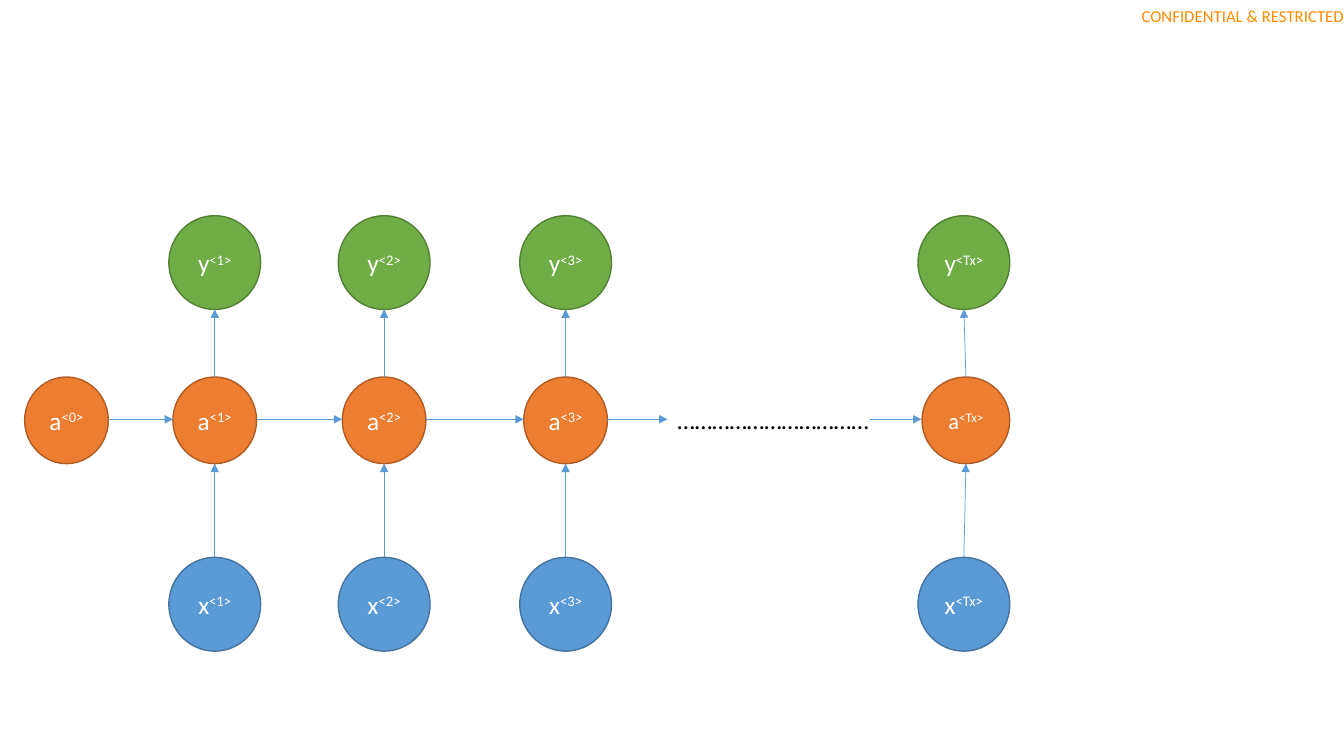
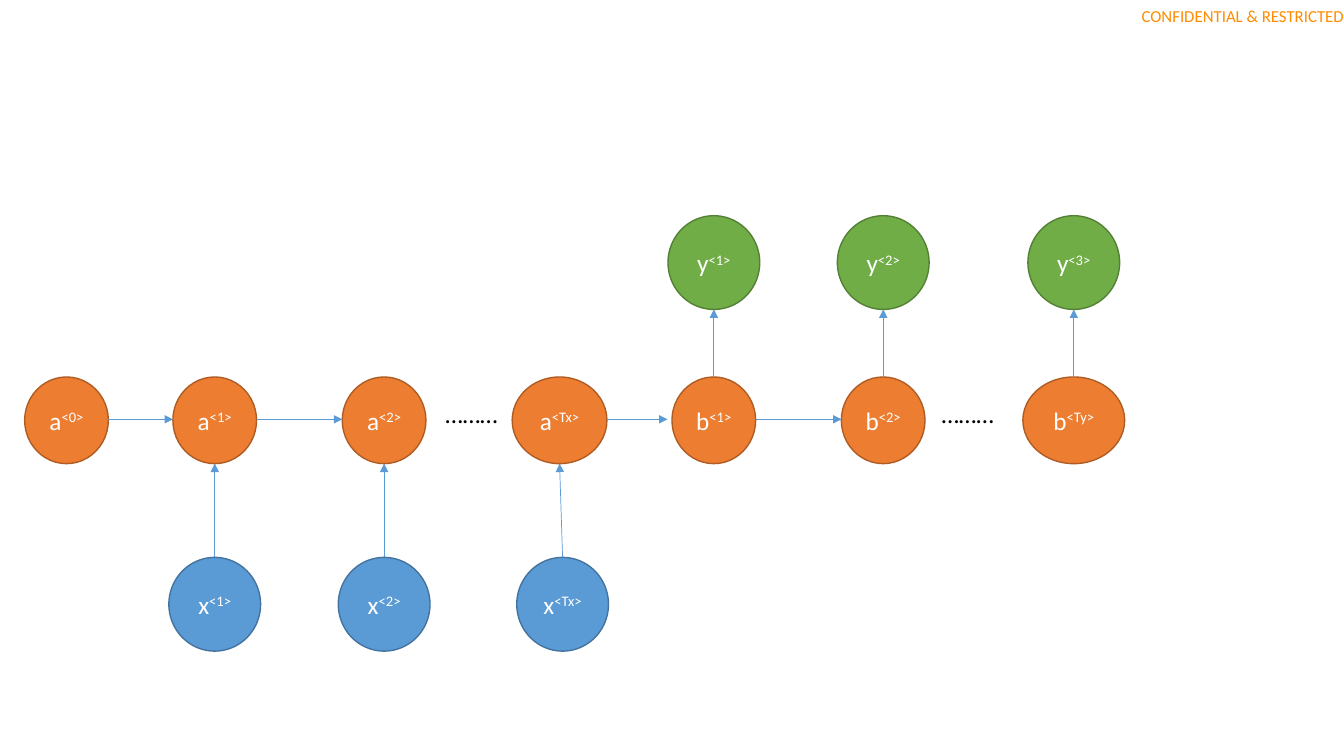
from dataclasses import dataclass
from typing import Optional

import pptx
import pptx.dml.color
import pptx.enum.shapes
import pptx.enum.text
import pptx.oxml
import pptx.oxml.ns
import pptx.shapes.autoshape
import pptx.slide
import pptx.text.text
import pptx.util

Inches = pptx.util.Inches
Pt = pptx.util.Pt
ALIGN = pptx.enum.text.PP_ALIGN

FONT = "Calibri"
WHITE, BLACK, NOTICE, ARROW = "FFFFFF", "000000", "FF8C00", "5B9BD5"


@dataclass(frozen=True)
class Row:
    """A horizontal band of ellipses with a common size and colour."""
    top: float
    width: float
    height: float
    fill: str
    line: str

    @property
    def bottom(self) -> float:
        """Return the lower edge of the band."""
        return self.top + self.height


OUTPUT = Row(2.14, 0.91, 0.93, "70AD47", "538035")
STATE = Row(3.74, 0.83, 0.86, "ED7D31", "AF5C24")
INPUT = Row(5.53, 0.91, 0.93, "5B9BD5", "43739E")
CHAIN_Y = 4.16


@dataclass(frozen=True)
class Step:
    """A hidden state with its optional input and output."""
    mid: float
    letter: str
    tag: str
    x_tag: Optional[str] = None
    y_tag: Optional[str] = None
    width: float = STATE.width
    size: float = 18
    outer_mid: Optional[float] = None

    @property
    def left(self) -> float:
        """Return the left edge of the state."""
        return self.mid - self.width / 2

    @property
    def right(self) -> float:
        """Return the right edge of the state."""
        return self.mid + self.width / 2


@dataclass(frozen=True)
class Dots:
    """An ellipsis standing for the skipped steps."""
    left: float
    top: float
    count: int


@dataclass(frozen=True)
class Network:
    """One slide: steps, linked step pairs, loose arrows and ellipses."""
    steps: tuple[Step, ...]
    links: tuple[tuple[int, int], ...]
    loose: tuple[tuple[float, float], ...]
    dots: tuple[Dots, ...]


START = Step(0.66, "a", "0")
MANY_TO_MANY = Network(
    steps=(
        START,
        Step(2.13, "a", "1", "1", "1"),
        Step(3.81, "a", "2", "2", "2"),
        Step(5.61, "a", "3", "3", "3"),
        Step(9.58, "a", "Tx", "Tx", "Tx", width=0.87, size=16, outer_mid=9.56),
    ),
    links=((0, 1), (1, 2), (2, 3)),
    loose=((6.02, 6.62), (8.63, 9.14)),
    dots=(Dots(6.62, 3.96, 11),),
)
ENCODER_DECODER = Network(
    steps=(
        START,
        Step(2.13, "a", "1", x_tag="1"),
        Step(3.81, "a", "2", x_tag="2"),
        Step(5.55, "a", "Tx", x_tag="Tx", width=0.94, outer_mid=5.58),
        Step(7.08, "b", "1", y_tag="1"),
        Step(8.76, "b", "2", y_tag="2"),
        Step(10.65, "b", "Ty", y_tag="3", width=1.01),
    ),
    links=((0, 1), (1, 2), (4, 5)),
    loose=((6.02, 6.62),),
    dots=(Dots(4.32, 3.9, 3), Dots(9.24, 3.9, 3)),
)


def rgb(value: str) -> pptx.dml.color.RGBColor:
    """Turn a hex string into a colour."""
    return pptx.dml.color.RGBColor.from_string(value)


def style_run(r: pptx.text.text._Run, size: float, color: str) -> None:
    """Set the font, size and colour of a run."""
    r.font.name = FONT
    r.font.size = Pt(size)
    r.font.color.rgb = rgb(color)


def add_text(s: pptx.slide.Slide, text: str, left: float, top: float,
             width: float, height: float, size: float,
             color: str) -> pptx.shapes.autoshape.Shape:
    """Add a one-line text box that grows with its text."""
    sp = s.shapes.add_textbox(Inches(left), Inches(top),
                              Inches(width), Inches(height))
    tf = sp.text_frame
    tf.word_wrap = True
    tf.auto_size = pptx.enum.text.MSO_AUTO_SIZE.SHAPE_TO_FIT_TEXT
    tf.text = text
    style_run(tf.paragraphs[0].runs[0], size, color)
    return sp


def add_notice(s: pptx.slide.Slide) -> None:
    """Add the confidentiality notice in the top right corner."""
    tf = add_text(s, "CONFIDENTIAL & RESTRICTED",
                  10.94, 0, 2.39, 0.32, 12, NOTICE).text_frame
    tf.margin_left = tf.margin_right = tf.margin_top = tf.margin_bottom = 0
    tf.vertical_anchor = pptx.enum.text.MSO_ANCHOR.MIDDLE
    tf.paragraphs[0].alignment = ALIGN.RIGHT


def add_node(s: pptx.slide.Slide, row: Row, mid: float, letter: str, tag: str,
             width: Optional[float] = None, size: float = 18) -> None:
    """Add an ellipse holding a letter with a raised <tag>."""
    width = width or row.width
    sp = s.shapes.add_shape(pptx.enum.shapes.MSO_SHAPE.OVAL,
                            Inches(mid - width / 2), Inches(row.top),
                            Inches(width), Inches(row.height))
    sp.shadow.inherit = False
    sp.fill.solid()
    sp.fill.fore_color.rgb = rgb(row.fill)
    sp.line.color.rgb = rgb(row.line)
    sp.line.width = Pt(1)
    tf = sp.text_frame
    tf.vertical_anchor = pptx.enum.text.MSO_ANCHOR.MIDDLE
    p = tf.paragraphs[0]
    p.text = letter
    p.alignment = ALIGN.CENTER
    p.add_run().text = f"<{tag}>"
    for r in p.runs:
        style_run(r, size, WHITE)
    p.runs[1].font._element.set("baseline", "30000")


def add_arrow(s: pptx.slide.Slide, x1: float, y1: float,
              x2: float, y2: float) -> None:
    """Add a thin arrow pointing at the second position."""
    cx = s.shapes.add_connector(pptx.enum.shapes.MSO_CONNECTOR.STRAIGHT,
                                Inches(x1), Inches(y1), Inches(x2), Inches(y2))
    cx.line.color.rgb = rgb(ARROW)
    cx.line.width = Pt(0.5)
    ns = pptx.oxml.ns.nsdecls("a")
    cx.line._get_or_add_ln().append(
        pptx.oxml.parse_xml(f'<a:tailEnd {ns} type="triangle"/>'))
    cx._element.spPr.append(pptx.oxml.parse_xml(f"<a:effectLst {ns}/>"))


def add_step(s: pptx.slide.Slide, step: Step) -> None:
    """Add a state, its input below and its output above."""
    outer = step.outer_mid or step.mid
    if step.x_tag:
        add_node(s, INPUT, outer, "x", step.x_tag)
        add_arrow(s, outer, INPUT.top, step.mid, STATE.bottom)
    add_node(s, STATE, step.mid, step.letter, step.tag, step.width, step.size)
    if step.y_tag:
        add_arrow(s, step.mid, STATE.top, outer, OUTPUT.bottom)
        add_node(s, OUTPUT, outer, "y", step.y_tag)


def add_network(prs: pptx.presentation.Presentation, net: Network) -> None:
    """Add a slide showing one network."""
    s = prs.slides.add_slide(prs.slide_layouts[6])
    add_notice(s)
    for step in net.steps:
        add_step(s, step)
    linked = tuple((net.steps[a].right, net.steps[b].left) for a, b in net.links)
    for start, end in linked + net.loose:
        add_arrow(s, start, CHAIN_Y, end, CHAIN_Y)
    for dots in net.dots:
        add_text(s, "…" * dots.count, dots.left, dots.top, 2.34, 0.4, 18, BLACK)


def main() -> None:
    """Build and save the presentation."""
    prs = pptx.Presentation()
    prs.slide_width = Inches(13.33)
    prs.slide_height = Inches(7.5)
    for net in (MANY_TO_MANY, ENCODER_DECODER):
        add_network(prs, net)
    prs.save("out.pptx")


main()
